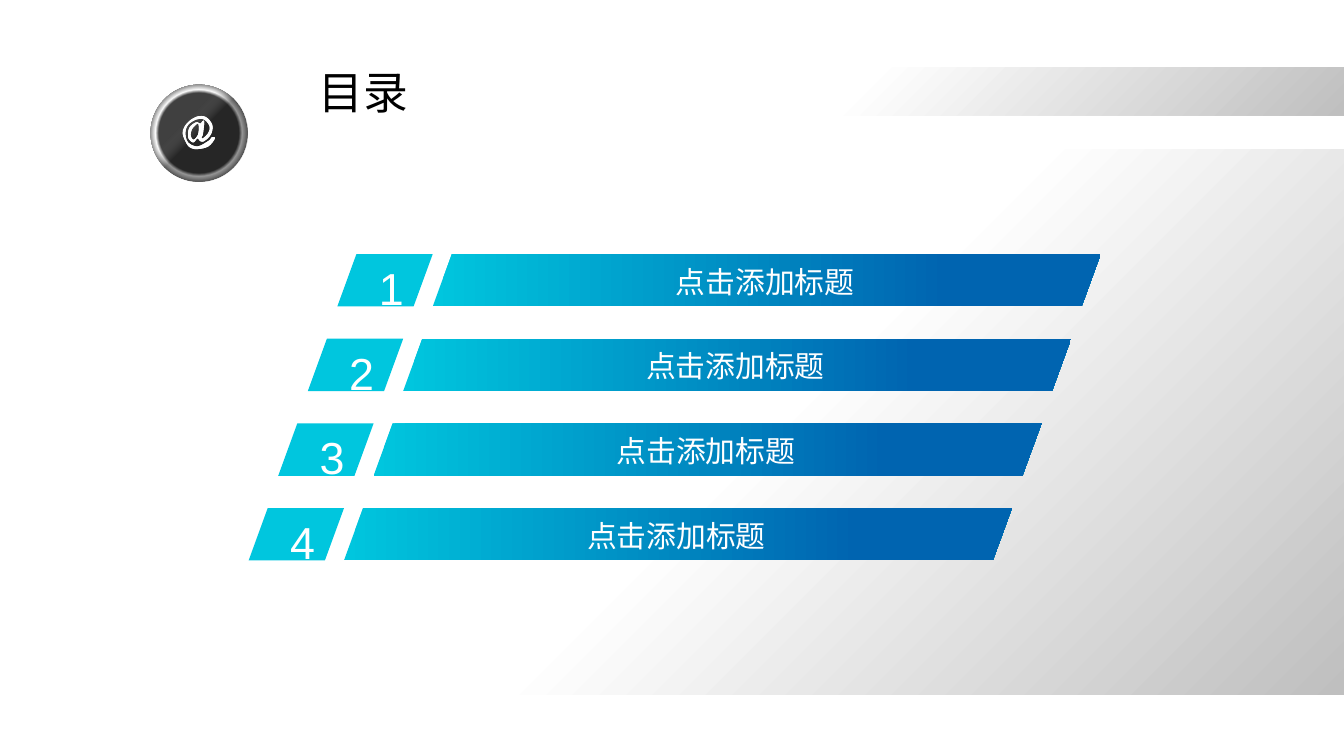
import math
import pptx
import pptx.dml.color
import pptx.enum.shapes
import pptx.enum.text
import pptx.oxml
import pptx.oxml.ns
import pptx.util

# Content
HEADING = "目录"
ENTRIES = [("1", "点击添加标题"), ("2", "点击添加标题"),
           ("3", "点击添加标题"), ("4", "点击添加标题")]

# Look
COLORS = {"white": "FFFFFF", "black": "000000", "silver": "BFBFBF",
          "grey": "808080", "charcoal": "404040", "cyan": "00C6DE", "blue": "0064B0"}
LATIN, CHINESE = "Arial", "Noto Sans CJK SC"
# Gradient stops: position %, colour, opacity %
PANEL_FADE = [(0, "white", 100), (55, "white", 100), (100, "silver", 100)]
BAR_FADE = [(0, "cyan", 100), (77, "blue", 100)]
RIM_FADE = [(58, "charcoal", 100), (63, "white", 100), (72, "grey", 100)]
GLOSS_FADE = [(50, "black", 40), (63, "grey", 0)]

# Layout in inches, on a 16:9 slide
SLIDE_W = 10
SLIDE_H = SLIDE_W * 9 / 16
FIRST_X, FIRST_Y = 2.51, 1.89
STEP_X, STEP_Y = -0.22, 0.63
TAB_W, BAR_W, ROW_H, SLANT = 0.71, 4.97, 0.39, 0.365
BADGE = (1.12, 0.63, 0.72, 0.72)
NOTCH_X, NOTCH_Y, NOTCH_R = 1.48, 0.99, 0.84

BAND = [(1.83, 0.5), (SLIDE_W, 0.5), (SLIDE_W, 0.86), (2.06, 0.86), (1.98, 0.69), (1.83, 0.57)]
AT_OUTER = [
    (1.58, 0.93), (1.57, 1), (1.52, 1.05), (1.49, 1.05), (1.47, 1.03), (1.44, 1.06),
    (1.41, 1.04), (1.4, 1.01), (1.41, 0.95), (1.46, 0.91), (1.49, 0.92), (1.51, 0.9),
    (1.52, 0.91), (1.51, 1), (1.5, 1.02), (1.51, 1.03), (1.55, 0.99), (1.56, 0.94),
    (1.52, 0.89), (1.46, 0.89), (1.4, 0.93), (1.38, 0.99), (1.4, 1.06), (1.47, 1.09),
    (1.55, 1.05), (1.57, 1.03), (1.58, 1.02), (1.6, 1.03), (1.55, 1.09), (1.47, 1.11),
    (1.42, 1.1), (1.39, 1.07), (1.36, 0.99), (1.39, 0.92), (1.46, 0.87), (1.53, 0.87)]
AT_INNER = [(1.47, 0.92), (1.43, 0.96), (1.42, 1.01), (1.44, 1.04), (1.47, 1.01),
            (1.48, 0.97), (1.48, 0.94)]

SHAPES = pptx.enum.shapes.MSO_SHAPE
inch = pptx.util.Inches


def rgb(color):
    return pptx.dml.color.RGBColor.from_string(COLORS[color])


def linear(degrees):
    return f'<a:lin ang="{degrees * 60000}" scaled="0"/>'


def radial(left, top, right, bottom):
    return (f'<a:path path="circle"><a:fillToRect l="{left * 1000}" t="{top * 1000}" '
            f'r="{right * 1000}" b="{bottom * 1000}"/></a:path>')


def paint(shape, fill, direction=None):
    """Fill with a colour name, or with gradient stops in a direction."""
    shape.shadow.inherit = False
    shape.line.fill.background()
    shape.fill.solid()
    if direction is None:
        shape.fill.fore_color.rgb = rgb(fill)
        return
    stops = "".join(
        f'<a:gs pos="{at * 1000}"><a:srgbClr val="{COLORS[color]}">'
        f'<a:alpha val="{opacity * 1000}"/></a:srgbClr></a:gs>'
        for at, color, opacity in fill)
    gradient = pptx.oxml.parse_xml(
        f'<a:gradFill {pptx.oxml.ns.nsdecls("a")} rotWithShape="1">'
        f'<a:gsLst>{stops}</a:gsLst>{direction}</a:gradFill>')
    properties = shape.fill._xPr
    properties.replace(properties.find(pptx.oxml.ns.qn("a:solidFill")), gradient)


def smooth(points, steps=4):
    """Closed Catmull-Rom curve through the points."""
    curve = []
    for i in range(len(points)):
        around = [points[(i + k) % len(points)] for k in (-1, 0, 1, 2)]
        for t in (step / steps for step in range(steps)):
            curve.append(tuple(
                b + t * (c - a) / 2 + t ** 2 * (a - 2.5 * b + 2 * c - d / 2)
                + t ** 3 * (1.5 * (b - c) + (d - a) / 2)
                for a, b, c, d in zip(*around)))
    return curve


def add_preset(slide, preset, box, fill, direction=None):
    shape = slide.shapes.add_shape(preset, *map(inch, box))
    if preset == SHAPES.PARALLELOGRAM:
        shape.adjustments[0] = SLANT
    paint(shape, fill, direction)


def add_outline(slide, contours, fill, direction=None):
    contours = [[(inch(x), inch(y)) for x, y in contour] for contour in contours]
    builder = slide.shapes.build_freeform(*contours[0][0])
    for index, contour in enumerate(contours):
        if index:
            builder.move_to(*contour[0])
        builder.add_line_segments(contour[1:], close=True)
    paint(builder.convert_to_shape(), fill, direction)


def add_label(slide, box, words, size, face, color):
    frame = slide.shapes.add_textbox(*map(inch, box)).text_frame
    frame.word_wrap = False
    frame.auto_size = pptx.enum.text.MSO_AUTO_SIZE.SHAPE_TO_FIT_TEXT
    paragraph = frame.paragraphs[0]
    paragraph.text = words
    font = paragraph.font
    font.size, font.name, font.color.rgb = pptx.util.Pt(size), face, rgb(color)
    latin = font._rPr.find(pptx.oxml.ns.qn("a:latin"))
    latin.addnext(pptx.oxml.parse_xml(
        f'<a:ea {pptx.oxml.ns.nsdecls("a")} typeface="{face}"/>'))


def add_backdrop(slide):
    # Band and badge
    add_outline(slide, [BAND], PANEL_FADE, linear(45))
    add_preset(slide, SHAPES.OVAL, BADGE, RIM_FADE, radial(50, 50, 50, 50))
    add_preset(slide, SHAPES.OVAL, BADGE, GLOSS_FADE, radial(100, 100, 0, 0))
    # The at sign is laid twice for a crisper edge
    for _ in range(2):
        add_outline(slide, [smooth(AT_OUTER), smooth(AT_INNER)], "white")
    # Panel, notched around the badge
    notch = [(NOTCH_X + NOTCH_R * math.cos(math.radians(angle)),
              NOTCH_Y + NOTCH_R * math.sin(math.radians(angle)))
             for angle in range(172, 7, -4)]
    panel = [(0, 1.11), *notch, (SLIDE_W, 1.11), (SLIDE_W, 5.17), (0, 5.17)]
    add_outline(slide, [panel], PANEL_FADE, linear(45))


def add_entry(slide, row, number, topic):
    x, y = FIRST_X + row * STEP_X, FIRST_Y + row * STEP_Y
    add_preset(slide, SHAPES.PARALLELOGRAM, (x, y, TAB_W, ROW_H), "cyan")
    add_preset(slide, SHAPES.PARALLELOGRAM, (x + TAB_W, y, BAR_W, ROW_H), BAR_FADE, linear(0))
    add_label(slide, (x + 0.21, y, 0.4, 0.5), number, 24, LATIN, "white")
    add_label(slide, (x + 2.42, y + 0.02, 1.55, 0.37), topic, 16, CHINESE, "white")


def main():
    deck = pptx.Presentation()
    deck.slide_width, deck.slide_height = inch(SLIDE_W), inch(SLIDE_H)
    slide = deck.slides.add_slide(deck.slide_layouts[6])
    add_backdrop(slide)
    add_label(slide, (2.27, 0.43, 0.88, 0.51), HEADING, 24, CHINESE, "black")
    for row, (number, topic) in enumerate(ENTRIES):
        add_entry(slide, row, number, topic)
    deck.save("out.pptx")


if __name__ == "__main__":
    main()
